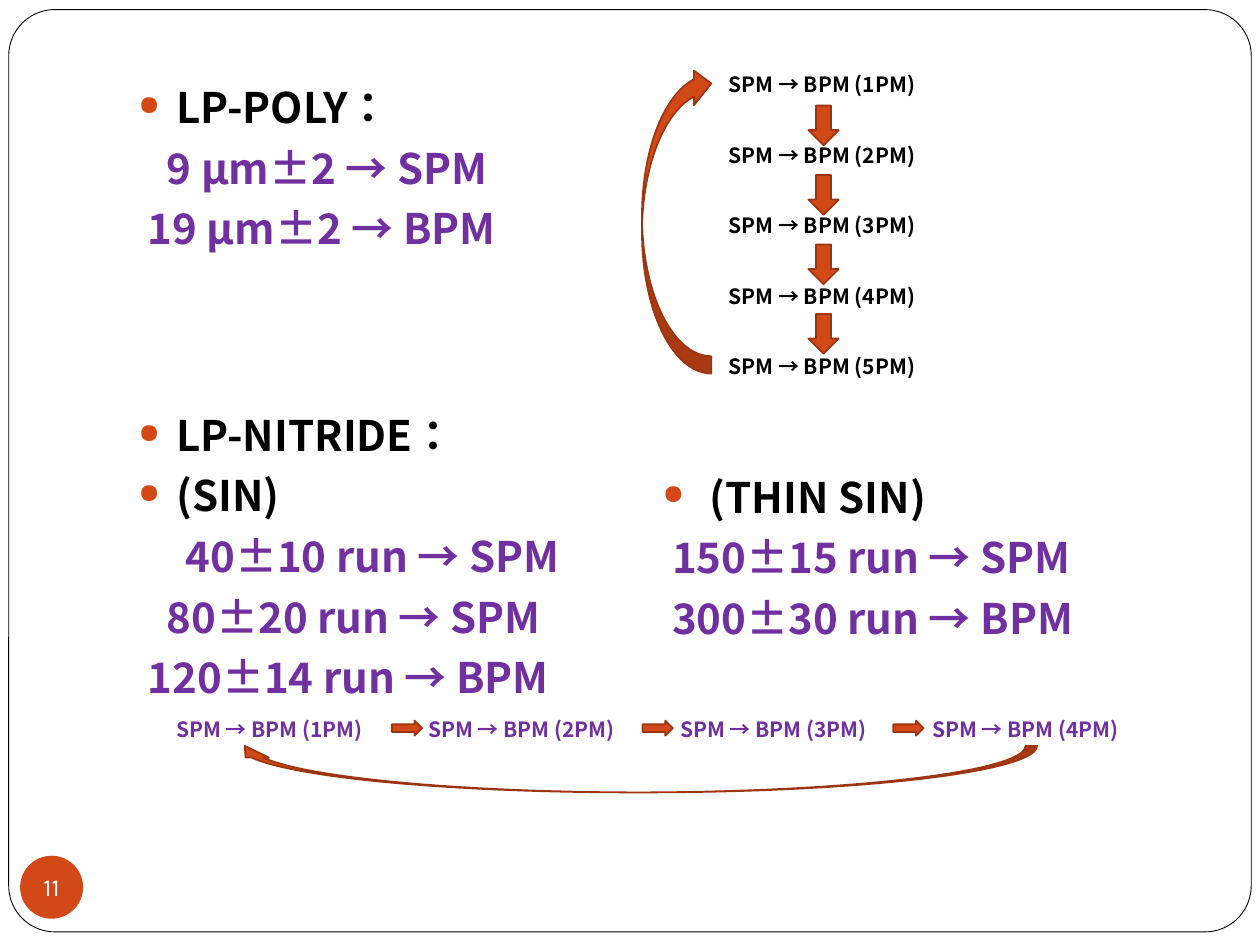
from dataclasses import dataclass
from lxml import etree
from pptx import Presentation
from pptx.dml.color import RGBColor
from pptx.enum.lang import MSO_LANGUAGE_ID as Language
from pptx.enum.shapes import MSO_SHAPE as Shape
from pptx.enum.text import MSO_ANCHOR as Anchor, PP_ALIGN as Align
from pptx.oxml import parse_xml
from pptx.oxml.ns import nsdecls, qn
from pptx.util import Pt


@dataclass(frozen=True)
class Theme:
    ink: str = "000000"
    paper: str = "FFFFFF"
    accent: str = "D34817"
    edge: str = "9C3511"
    rule: str = "7030A0"
    body_font: str = "Noto Sans CJK SC"
    number_font: str = "Karla"
    large: int = 24
    small: int = 12
    number: int = 14


theme = Theme()
LEADING = 1.2   # line height as a share of the type size
GAP = 5.8       # space between paragraphs
INSET = 3.6     # top margin of a text box
BULLET = 21.6   # hanging indent of a bullet
STEP = 5.4      # indent step of the rule lines
COLUMN = 144    # pitch of the horizontal cycle


def draw_shape(kind, frame, fill, line=None, weight=1, turn=0):
    shape = page.shapes.add_shape(kind, *map(Pt, frame))
    shape.shadow.inherit = False
    shape.rotation = turn
    shape.fill.solid()
    shape.fill.fore_color.rgb = RGBColor.from_string(fill)
    if line:
        shape.line.color.rgb = RGBColor.from_string(line)
        shape.line.width = Pt(weight)
    else:
        shape.line.fill.background()
    return shape


def write_text(frame, lines, size, inset=INSET, gap=GAP, align=Align.LEFT):
    """Each line is (text, colour, indent, has bullet)."""
    box = page.shapes.add_textbox(*map(Pt, frame)).text_frame
    box.word_wrap = True
    box.margin_top = Pt(inset)
    for index, (text, colour, indent, bullet) in enumerate(lines):
        para = box.paragraphs[0] if index == 0 else box.add_paragraph()
        props = para._p.get_or_add_pPr()
        props.set("marL", str(Pt(indent)))
        props.set("indent", str(Pt(-indent if bullet else 0)))
        if bullet:
            for xml in (f'<a:buClr {nsdecls("a")}><a:srgbClr val="{theme.accent}"/></a:buClr>',
                        f'<a:buSzPct {nsdecls("a")} val="65000"/>',
                        f'<a:buChar {nsdecls("a")} char="●"/>'):
                props.append(parse_xml(xml))
        layout = {"alignment": align, "line_spacing": Pt(size * LEADING),
                  "space_before": Pt(gap if index else 0)}
        for name, value in layout.items():
            setattr(para, name, value)
        span = para.add_run()
        span.text = text
        for name, value in {"name": theme.body_font, "size": Pt(size), "bold": True,
                            "language_id": Language.TRADITIONAL_CHINESE}.items():
            setattr(span.font, name, value)
        span.font.color.rgb = RGBColor.from_string(colour)
        etree.SubElement(span._r.get_or_add_rPr(), qn("a:ea"), typeface=theme.body_font)


deck = Presentation()
deck.slide_width, deck.slide_height = Pt(720), Pt(540)
page = deck.slides.add_slide(deck.slide_layouts[6])

# Rounded page frame
border = draw_shape(Shape.ROUNDED_RECTANGLE, (5, 5.5, 710, 527), theme.paper, theme.ink, 0.5)
border.adjustments[0] = 0.05

# Page number badge
badge = draw_shape(Shape.OVAL, (11.5, 489, 36, 36), theme.accent).text_frame
for name, value in {"margin_left": 0, "margin_right": 0, "margin_top": 0, "margin_bottom": 0,
                    "word_wrap": False, "vertical_anchor": Anchor.MIDDLE}.items():
    setattr(badge, name, value)
para = badge.paragraphs[0]
para.alignment = Align.CENTER
span = para.add_run()
span.text = "11"
for name, value in {"name": theme.number_font, "size": Pt(theme.number)}.items():
    setattr(span.font, name, value)
span.font.color.rgb = RGBColor.from_string(theme.paper)

# LP-POLY rules
write_text((72, 43.2, 612, 430.6), [
    ("LP-POLY：", theme.ink, BULLET, True),
    ("9 μm±2 → SPM", theme.rule, 3 * STEP, False),
    ("19 μm±2 → BPM", theme.rule, STEP, False),
], theme.large)

# LP-POLY maintenance cycle, top to bottom and back
cycle = [f"SPM → BPM ({number}PM)" for number in range(1, 6)]
write_text((405.4, 37.4, 124.6, 181.4), [(step, theme.ink, 0, False) for step in cycle],
           theme.small, gap=25.9, align=Align.RIGHT)
for index in range(4):
    draw_shape(Shape.DOWN_ARROW, (462, 60.3 + 39.7 * index, 17.3, 22.7), theme.accent, theme.edge)
draw_shape(Shape.CURVED_DOWN_ARROW, (298.8, 105.8, 175.7, 39.6), theme.accent, theme.edge, turn=270)

# LP-NITRIDE rules
write_text((72, 230.4, 282.2, 215.3), [
    ("LP-NITRIDE：", theme.ink, BULLET, True),
    ("(SIN)", theme.ink, BULLET, True),
    ("40±10 run → SPM", theme.rule, 5 * STEP, False),
    ("80±20 run → SPM", theme.rule, 3 * STEP, False),
    ("120±14 run → BPM", theme.rule, STEP, False),
], theme.large)

# Thin SIN rules, level with the second line on the left
write_text((371.5, 231.1, 323.3, 215.3), [
    ("(THIN SIN)", theme.ink, BULLET + STEP, True),
    ("150±15 run → SPM", theme.rule, STEP, False),
    ("300±30 run → BPM", theme.rule, STEP, False),
], theme.large, INSET + theme.large * LEADING + GAP)

# LP-NITRIDE maintenance cycle, left to right and back
for index, step in enumerate(cycle[:4]):
    write_text((93.6 + COLUMN * index, 406.1, 124.6, 21.6), [(step, theme.rule, 0, False)],
               theme.small)
draw_shape(Shape.CURVED_DOWN_ARROW, (133.2, 426.2, 459.4, 26.6), theme.accent, theme.edge, turn=180)
for index in range(3):
    draw_shape(Shape.RIGHT_ARROW, (223.9 + 143.3 * index, 411.8, 17.3, 8.6), theme.accent, theme.edge)

deck.save("out.pptx")
